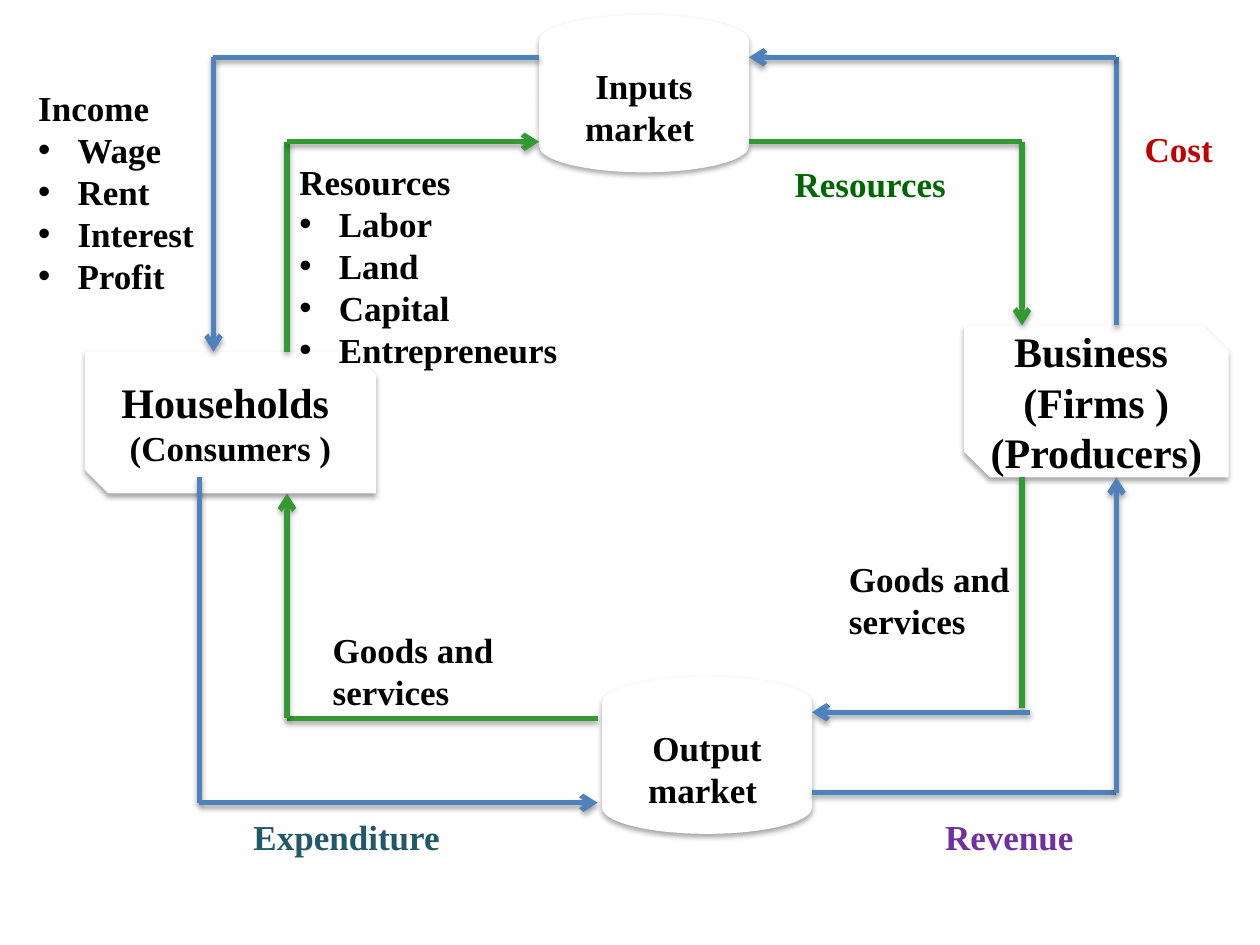
from dataclasses import dataclass
from itertools import pairwise

from lxml import etree
from pptx import Presentation
from pptx.dml.color import RGBColor
from pptx.enum.shapes import MSO_CONNECTOR, MSO_SHAPE
from pptx.enum.text import MSO_ANCHOR, MSO_AUTO_SIZE, PP_ALIGN
from pptx.oxml.ns import qn
from pptx.util import Pt

STRAIGHT = MSO_CONNECTOR.STRAIGHT
SNIPPED = MSO_SHAPE.SNIP_2_DIAG_RECTANGLE
DISK = MSO_SHAPE.FLOWCHART_MAGNETIC_DISK
MIDDLE = MSO_ANCHOR.MIDDLE
GROW = MSO_AUTO_SIZE.SHAPE_TO_FIT_TEXT
CENTER = PP_ALIGN.CENTER

WHITE = RGBColor(0xFF, 0xFF, 0xFF)
BLACK = RGBColor(0x00, 0x00, 0x00)
GREEN = RGBColor(0x33, 0x99, 0x33)
BLUE = RGBColor(0x4F, 0x81, 0xBD)
DARK_GREEN = RGBColor(0x00, 0x66, 0x00)
RED = RGBColor(0xC0, 0x00, 0x00)
PURPLE = RGBColor(0x70, 0x30, 0xA0)
TEAL = RGBColor(0x21, 0x59, 0x68)

FONT = "Times New Roman"
BODY_SIZE = 20
LARGE_SIZE = 24
INDENT = 22.5


@dataclass(frozen=True)
class Node:
    kind: MSO_SHAPE
    left: float
    top: float
    width: float
    height: float
    lines: tuple[tuple[str, int], ...]


@dataclass(frozen=True)
class Flow:
    color: RGBColor
    points: tuple[tuple[float, float], ...]
    has_arrow: bool = True


@dataclass(frozen=True)
class Label:
    left: float
    top: float
    width: float
    height: float
    lines: tuple[str, ...]
    color: RGBColor = BLACK
    bullets: tuple[str, ...] = ()


NODES = (
    Node(SNIPPED, 48.5, 201, 166.5, 81,
         (("Households ", LARGE_SIZE), ("(Consumers )", BODY_SIZE))),
    Node(SNIPPED, 551, 186, 151, 86.75,
         (("Business ", LARGE_SIZE), ("(Firms )", LARGE_SIZE),
          ("(Producers) ", LARGE_SIZE))),
    Node(DISK, 308, 8.5, 120, 90, (("Inputs market ", BODY_SIZE),)),
    Node(DISK, 344, 386.5, 120, 90, (("Output market ", BODY_SIZE),)),
)

FLOWS = (
    Flow(GREEN, ((164, 201), (164, 81), (308, 81))),
    Flow(GREEN, ((428, 81), (584, 81), (584, 186))),
    Flow(GREEN, ((584, 272.75), (584, 404.75)), has_arrow=False),
    Flow(BLUE, ((588.75, 407), (464, 407))),
    Flow(GREEN, ((341.5, 410.5), (164, 410.5), (164, 282))),
    Flow(BLUE, ((308, 32.75), (122, 32.75), (122, 201))),
    Flow(BLUE, ((638, 186), (638, 32.75), (428, 32.75))),
    Flow(BLUE, ((464, 453), (638, 453), (638, 272.75))),
    Flow(BLUE, ((114, 272.75), (114, 458.75), (341.5, 458.75))),
)

LABELS = (
    Label(164, 88, 163.5, 128, ("Resources",),
          bullets=("Labor", "Land", "Capital", "Entrepreneurs")),
    Label(447, 89.5, 104, 31.5, ("Resources",), DARK_GREEN),
    Label(478, 314.75, 112, 55.5, ("Goods and", "services")),
    Label(183, 355.75, 112, 55.5, ("Goods and", "services")),
    Label(14.75, 46, 109.5, 128, ("Income",),
          bullets=("Wage", "Rent", "Interest", "Profit")),
    Label(647, 69.5, 55.5, 31.5, ("Cost",), RED),
    Label(533, 462.5, 92, 31.5, ("Revenue",), PURPLE),
    Label(137.75, 462.5, 121, 31.5, ("Expenditure",), TEAL),
)


def add_shadow(shape) -> None:
    """Append a soft downward shadow; fill and line must already be set."""
    effects = etree.SubElement(shape.element.spPr, qn("a:effectLst"))
    shadow = etree.SubElement(
        effects, qn("a:outerShdw"), blurRad=str(Pt(3.1)), dist=str(Pt(1.8)),
        dir="5400000", rotWithShape="0")
    color = etree.SubElement(shadow, qn("a:srgbClr"), val=str(BLACK))
    etree.SubElement(color, qn("a:alpha"), val="35000")


def add_bullet(para) -> None:
    properties = para._p.get_or_add_pPr()
    properties.set("marL", str(Pt(INDENT)))
    properties.set("indent", str(Pt(-INDENT)))
    etree.SubElement(properties, qn("a:buFont"), typeface="Arial")
    etree.SubElement(properties, qn("a:buChar"), char="•")


def write_line(frame, index: int, text: str, size: float, color: RGBColor,
               is_bullet: bool = False):
    para = frame.paragraphs[0] if index == 0 else frame.add_paragraph()
    para.text = text
    if is_bullet:
        add_bullet(para)
    para.font.name = FONT
    para.font.size = Pt(size)
    para.font.bold = True
    para.font.color.rgb = color
    return para


def draw_node(page, node: Node) -> None:
    shape = page.shapes.add_shape(
        node.kind, Pt(node.left), Pt(node.top), Pt(node.width), Pt(node.height))
    shape.fill.solid()
    shape.fill.fore_color.rgb = WHITE
    shape.line.fill.background()
    add_shadow(shape)
    frame = shape.text_frame
    frame.word_wrap = True
    frame.vertical_anchor = MIDDLE
    for index, (text, size) in enumerate(node.lines):
        write_line(frame, index, text, size, BLACK).alignment = CENTER


def draw_flow(page, flow: Flow) -> None:
    """Draw a route of straight segments, with the arrowhead on the last."""
    for start, end in pairwise(flow.points):
        segment = page.shapes.add_connector(
            STRAIGHT, *(Pt(value) for value in (*start, *end)))
        segment.line.color.rgb = flow.color
        segment.line.width = Pt(3)
        if flow.has_arrow and end == flow.points[-1]:
            line = segment.line._get_or_add_ln()
            etree.SubElement(line, qn("a:tailEnd"), type="arrow")
        add_shadow(segment)


def draw_label(page, label: Label) -> None:
    box = page.shapes.add_textbox(
        Pt(label.left), Pt(label.top), Pt(label.width), Pt(label.height))
    frame = box.text_frame
    frame.word_wrap = False
    frame.auto_size = GROW
    for index, text in enumerate(label.lines + label.bullets):
        write_line(frame, index, text, BODY_SIZE, label.color,
                   is_bullet=index >= len(label.lines))


def main() -> None:
    deck = Presentation()
    deck.slide_width = Pt(720)
    deck.slide_height = Pt(540)
    page = deck.slides.add_slide(deck.slide_layouts[6])
    for node in NODES:
        draw_node(page, node)
    for flow in FLOWS:
        draw_flow(page, flow)
    for label in LABELS:
        draw_label(page, label)
    deck.save("out.pptx")


if __name__ == "__main__":
    main()
